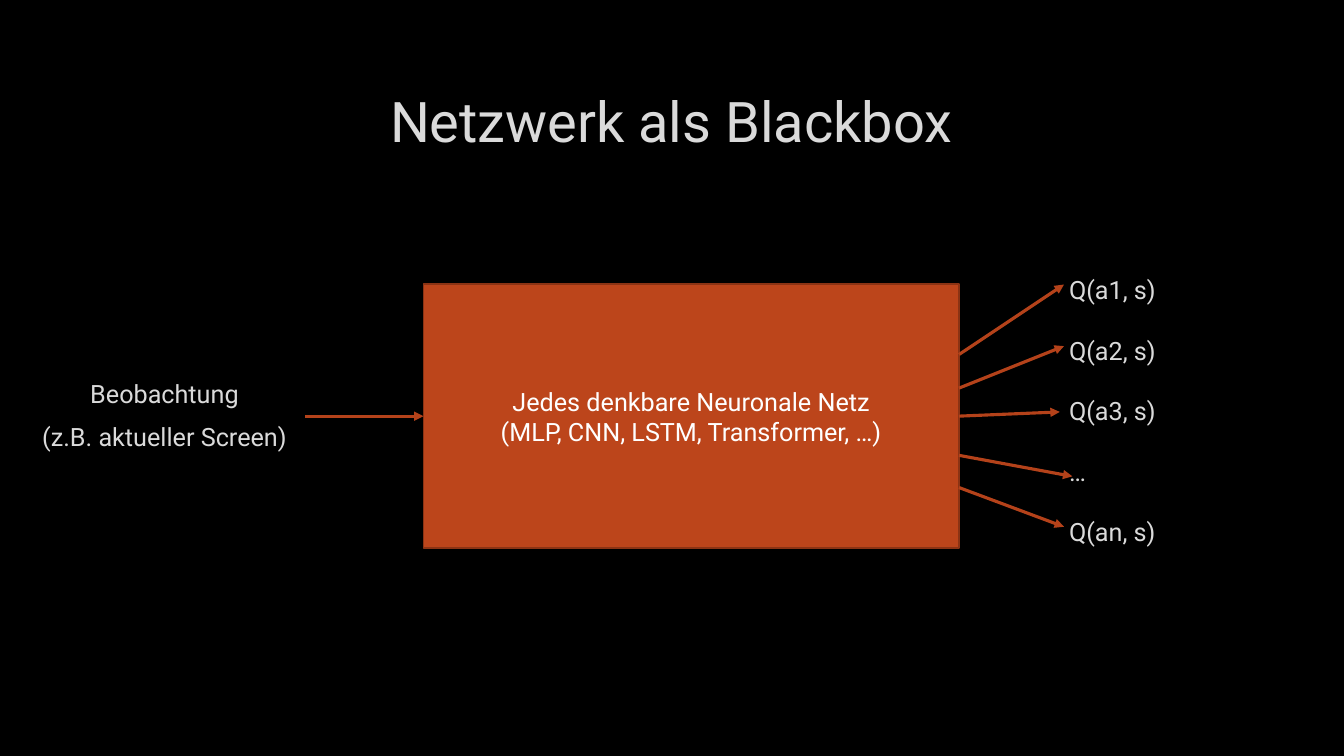
from lxml import etree
from pptx import Presentation
from pptx.dml.color import RGBColor
from pptx.enum import shapes, text
from pptx.oxml import ns
from pptx.util import Pt

GREY, RUST, EDGE, ARROW = "DADADA", "BC451B", "8B3314", "B4421A"
LABELS = ["Q(a1, s)", "Q(a2, s)", "Q(a3, s)", "…", "Q(an, s)"]
FAN = [(-44, 75, -94), (-20, 75, -50), (0, 72, -3), (28, 81, 43), (51, 75, 79)]


def paint(form, hue):
    """Give a fill or font colour format a solid hex colour."""
    form.solid()
    form.fore_color.rgb = RGBColor.from_string(hue)


def write(shape, lines, size=18, hue=GREY, align="CENTER", anchor="TOP",
          before=0, after=0):
    """Write formatted paragraphs into a shape."""
    frame = shape.text_frame
    frame.word_wrap = True
    frame.vertical_anchor = text.MSO_ANCHOR[anchor]
    frame.text = "\n".join(lines)
    for i, para in enumerate(frame.paragraphs):
        para.alignment = text.PP_ALIGN[align]
        para.space_before = Pt(before if i else 0)
        para.space_after = Pt(after)
        para.font.name = "Roboto"
        para.font.size = Pt(size)
        paint(para.font.fill, hue)


def arrow(slide, start, end):
    """Draw an arrow between two points."""
    line = slide.shapes.add_connector(
        shapes.MSO_CONNECTOR.STRAIGHT, *map(Pt, start + end))
    paint(line.line.fill, ARROW)
    line.line.width = Pt(2.25)
    etree.SubElement(line.line._get_or_add_ln(), ns.qn("a:tailEnd"),
                     type="triangle")
    etree.SubElement(line._element.spPr, ns.qn("a:effectLst"))
    return line


def head(slide, x, y, w, h):
    """Place the slide title."""
    title = slide.shapes.title
    title.left, title.top, title.width, title.height = map(Pt, (x, y, w, h))
    write(title, ["Netzwerk als Blackbox"], size=40, anchor="MIDDLE")


def net(slide, x, y, w, h):
    """Draw the network box."""
    box = slide.shapes.add_shape(
        shapes.MSO_SHAPE.RECTANGLE, *map(Pt, (x, y, w, h)))
    box.shadow.inherit = False
    paint(box.fill, RUST)
    paint(box.line.fill, EDGE)
    box.line.width = Pt(1.25)
    write(box, ["Jedes denkbare Neuronale Netz",
                "(MLP, CNN, LSTM, Transformer, …)"],
          hue="FFFFFF", anchor="MIDDLE")
    return box


def source(slide, box, x, y, w, h):
    """Place the observation and its arrow into the network."""
    note = slide.shapes.add_textbox(*map(Pt, (x, y, w, h)))
    write(note, ["Beobachtung", "(z.B. aktueller Screen)"], before=3.6, after=6)
    mid = y + h / 2
    line = arrow(slide, (x + w, mid), (box.left.pt, mid))
    line.begin_connect(note, 3)
    line.end_connect(box, 1)


def values(slide, box, x, y, w, h):
    """Place the Q values and the arrows fanning out to them."""
    note = slide.shapes.add_textbox(*map(Pt, (x, y, w, h)))
    write(note, LABELS, align="LEFT", before=21.6)
    edge = box.left.pt + box.width.pt
    mid = box.top.pt + box.height.pt / 2
    for rise, run, drop in FAN:
        line = arrow(slide, (edge, mid + rise), (edge + run, mid + drop))
        if rise == 0:
            line.begin_connect(box, 3)


def main():
    """Build and save the slide."""
    deck = Presentation()
    deck.slide_width, deck.slide_height = Pt(960), Pt(540)
    slide = deck.slides.add_slide(deck.slide_layouts[5])
    paint(slide.background.fill, "000000")
    head(slide, 72, 48, 815, 76)
    box = net(slide, 302.5, 203, 382.5, 188.5)
    source(slide, box, 17, 266.5, 201, 61.5)
    values(slide, box, 756.5, 192.5, 178.5, 204)
    deck.save("out.pptx")


if __name__ == "__main__":
    main()
